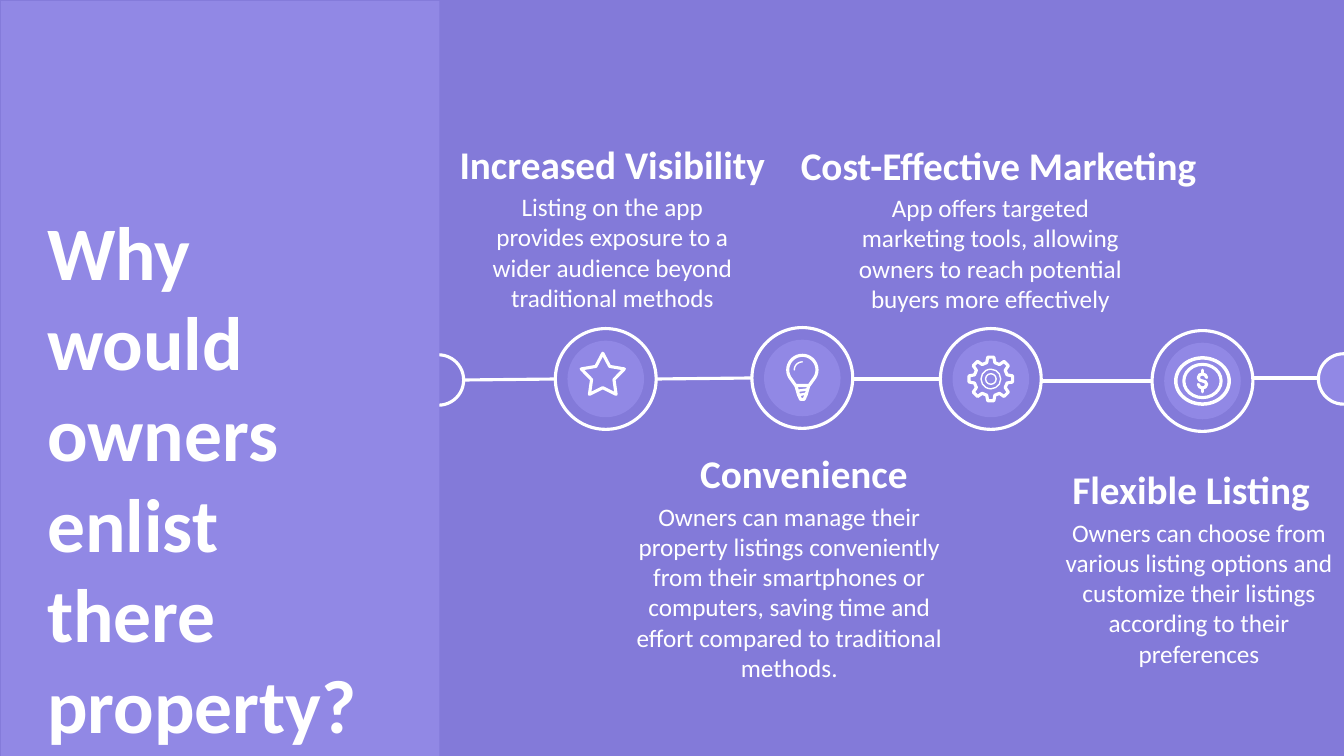
import math
from dataclasses import dataclass

import lxml.etree
import pptx
import pptx.dml.color
import pptx.enum.shapes
import pptx.enum.text
import pptx.oxml.ns
import pptx.util

GRID_COLUMNS, GRID_ROWS = 160, 90
CELL = pptx.util.Inches(1) // 12
WHITE, PURPLE, LILAC = "FFFFFF", "837AD9", "9188E5"
TRACK_WIDTH = 2.25
FONT = "Calibri"

Point = tuple[float, float]


@dataclass(frozen=True)
class Stroke:
    points: list[Point]
    width: float = 2.25
    closed: bool = False


@dataclass(frozen=True)
class Ring:
    width: float
    height: float
    line: float


@dataclass(frozen=True)
class Milestone:
    column: float
    row: float
    icon: list[Stroke | Ring]


@dataclass(frozen=True)
class Caption:
    heading: str
    body: str
    row: float
    heading_column: float
    heading_columns: float
    body_column: float
    body_columns: float
    body_rows: float
    indent: float = 0


def cells(count: float) -> int:
    return round(count * CELL)


def color(hex_code: str) -> pptx.dml.color.RGBColor:
    return pptx.dml.color.RGBColor.from_string(hex_code)


def polar(radius: float, degrees: float, row: float = 0) -> Point:
    angle = math.radians(degrees)
    return radius * math.cos(angle), row + radius * math.sin(angle)


def paint(figure, fill: str | None, line: float) -> None:
    figure.shadow.inherit = False
    if fill:
        figure.fill.solid()
        figure.fill.fore_color.rgb = color(fill)
    else:
        figure.fill.background()
    if line:
        figure.line.color.rgb = color(WHITE)
        figure.line.width = pptx.util.Pt(line)
    else:
        figure.line.fill.background()


def add_ellipse(slide, column: float, row: float, width: float, height: float,
                fill: str | None = None, line: float = 0) -> None:
    ellipse = slide.shapes.add_shape(
        pptx.enum.shapes.MSO_SHAPE.OVAL, cells(column - width / 2), cells(row - height / 2),
        cells(width), cells(height))
    paint(ellipse, fill, line)


def add_track(slide, start: Point, end: Point) -> None:
    track = slide.shapes.add_connector(
        pptx.enum.shapes.MSO_CONNECTOR.STRAIGHT, *map(cells, start + end))
    track.line.color.rgb = color(WHITE)
    track.line.width = pptx.util.Pt(TRACK_WIDTH)
    lxml.etree.SubElement(track.element.spPr, pptx.oxml.ns.qn("a:effectLst"))


def add_stroke(slide, column: float, row: float, stroke: Stroke) -> None:
    placed = [(cells(column + x), cells(row + y)) for x, y in stroke.points]
    builder = slide.shapes.build_freeform(*placed[0])
    builder.add_line_segments(placed[1:], close=stroke.closed)
    outline = builder.convert_to_shape()
    paint(outline, None, stroke.width)
    pen = outline.element.spPr.get_or_add_ln()
    pen.set("cap", "rnd")
    lxml.etree.SubElement(pen, pptx.oxml.ns.qn("a:round"))


def add_text(slide, text: str, *, column: float, row: float, columns: float, rows: float,
             size: float, bold: bool = False, centered: bool = True, indent: float = 0) -> None:
    box = slide.shapes.add_textbox(cells(column), cells(row), cells(columns), cells(rows))
    frame = box.text_frame
    frame.word_wrap = True
    frame.auto_size = pptx.enum.text.MSO_AUTO_SIZE.SHAPE_TO_FIT_TEXT
    frame.margin_left += cells(indent)
    paragraph = frame.paragraphs[0]
    align = pptx.enum.text.PP_ALIGN
    paragraph.alignment = align.CENTER if centered else align.LEFT
    run = paragraph.add_run()
    run.text = text
    run.font.name = FONT
    run.font.size = pptx.util.Pt(size)
    run.font.bold = bold
    run.font.color.rgb = color(WHITE)


def add_milestone(slide, milestone: Milestone) -> None:
    column, row = milestone.column, milestone.row
    add_ellipse(slide, column, row, 12, 12, PURPLE, TRACK_WIDTH)
    add_ellipse(slide, column, row, 9.12, 9.12, LILAC)
    for part in milestone.icon:
        if isinstance(part, Ring):
            add_ellipse(slide, column, row, part.width, part.height, line=part.line)
        else:
            add_stroke(slide, column, row, part)


def add_caption(slide, caption: Caption) -> None:
    add_text(slide, caption.heading, column=caption.heading_column, row=caption.row,
             columns=caption.heading_columns, rows=6.84, size=28, bold=True,
             indent=caption.indent)
    add_text(slide, caption.body, column=caption.body_column, row=caption.row + 6.12,
             columns=caption.body_columns, rows=caption.body_rows, size=18)


star_points = [polar(1.4 if i % 2 else 2.7, 36 * i - 90) for i in range(10)]
STAR = [Stroke([(x - 0.36, y - 0.36) for x, y in star_points], closed=True)]

glass = [polar(1.74, degrees, -0.96) for degrees in range(150, 391, 10)]
screw = [(-0.75, 0.96), (-0.45, 2), (-0.2, 2.55), (0.2, 2.55), (0.45, 2), (0.75, 0.96)]
BULB = [
    Stroke(glass + [(0.8, 0.9), (-0.8, 0.9)], closed=True),
    Stroke(screw),
    *(Stroke([(-half, row + 0.08), (half, row - 0.08)], 1.75)
      for half, row in ((0.6, 1.45), (0.45, 1.95))),
    Stroke([polar(0.96, degrees, -0.96) for degrees in range(180, 271, 10)], 1),
]

tooth = ((2, -14), (2.62, -8), (2.62, 8), (2, 14))
GEAR = [
    Stroke([polar(radius, 45 * i + turn) for i in range(8) for radius, turn in tooth],
           closed=True),
    Ring(2.34, 2.34, 1),
    Ring(1.26, 1.26, 1),
]

dollar_curve = [(0.5, -0.4), (0.34, -0.7), (0, -0.84), (-0.34, -0.72), (-0.5, -0.4),
                (-0.34, -0.1), (0, 0), (0.34, 0.1), (0.5, 0.4), (0.34, 0.72), (0, 0.84),
                (-0.34, 0.7), (-0.5, 0.4)]
COIN = [
    Ring(6.36, 5.5, 2.5),
    Ring(4.44, 3.96, 2.25),
    Stroke(dollar_curve),
    *(Stroke([(0, side * 0.84), (0, side * 1.3)]) for side in (-1, 1)),
]

MILESTONES = [
    Milestone(72.12, 45.12, STAR),
    Milestone(95.52, 45, BULB),
    Milestone(117.96, 45.12, GEAR),
    Milestone(143.16, 45.36, COIN),
]

TRACKS = [
    ((55.32, 45.24), (77.28, 45)),
    ((78.12, 45.12), (89.4, 45)),
    ((97.44, 45.12), (111.84, 45.12)),
    ((123.96, 45.36), (139.08, 45.36)),
    ((148.08, 45), (156.84, 45)),
]

CAPTIONS = [
    Caption("Increased Visibility",
            "Listing on the app provides exposure to a wider audience beyond traditional methods",
            16.08, 48.72, 48.36, 55.56, 34.68, 15.72),
    Caption("Cost-Effective Marketing",
            "App offers targeted marketing tools, allowing owners to reach potential buyers "
            "more effectively",
            16.2, 93.72, 50.28, 100.56, 34.68, 15.72),
    Caption("Convenience",
            "Owners can manage their property listings conveniently from their smartphones or "
            "computers, saving time and effort compared to traditional methods.",
            52.92, 71.52, 48.36, 72.84, 42.24, 19.44),
    Caption("Flexible Listing",
            "Owners can choose from various listing options and customize their listings "
            "according to their preferences",
            54.84, 113.4, 48.36, 125.4, 34.68, 19.44, indent=8.4),
]


def main() -> None:
    deck = pptx.Presentation()
    deck.slide_width, deck.slide_height = cells(GRID_COLUMNS), cells(GRID_ROWS)
    slide = deck.slides.add_slide(deck.slide_layouts[6])
    slide.background.fill.solid()
    slide.background.fill.fore_color.rgb = color(PURPLE)

    add_ellipse(slide, 52.2, 45.24, 6, 6, PURPLE, TRACK_WIDTH)
    panel = slide.shapes.add_shape(pptx.enum.shapes.MSO_SHAPE.RECTANGLE,
                                   cells(0.12), cells(0.12), cells(52.2), cells(GRID_ROWS))
    paint(panel, LILAC, 0)
    add_text(slide, "Why would owners enlist there property?", column=4.44, row=23.76,
             columns=44.52, rows=55.68, size=54, bold=True, centered=False)
    for start, end in TRACKS:
        add_track(slide, start, end)
    add_ellipse(slide, 159.96, 45.12, 6, 6, LILAC, TRACK_WIDTH)
    for milestone in MILESTONES:
        add_milestone(slide, milestone)
    for caption in CAPTIONS:
        add_caption(slide, caption)
    deck.save("out.pptx")


if __name__ == "__main__":
    main()
